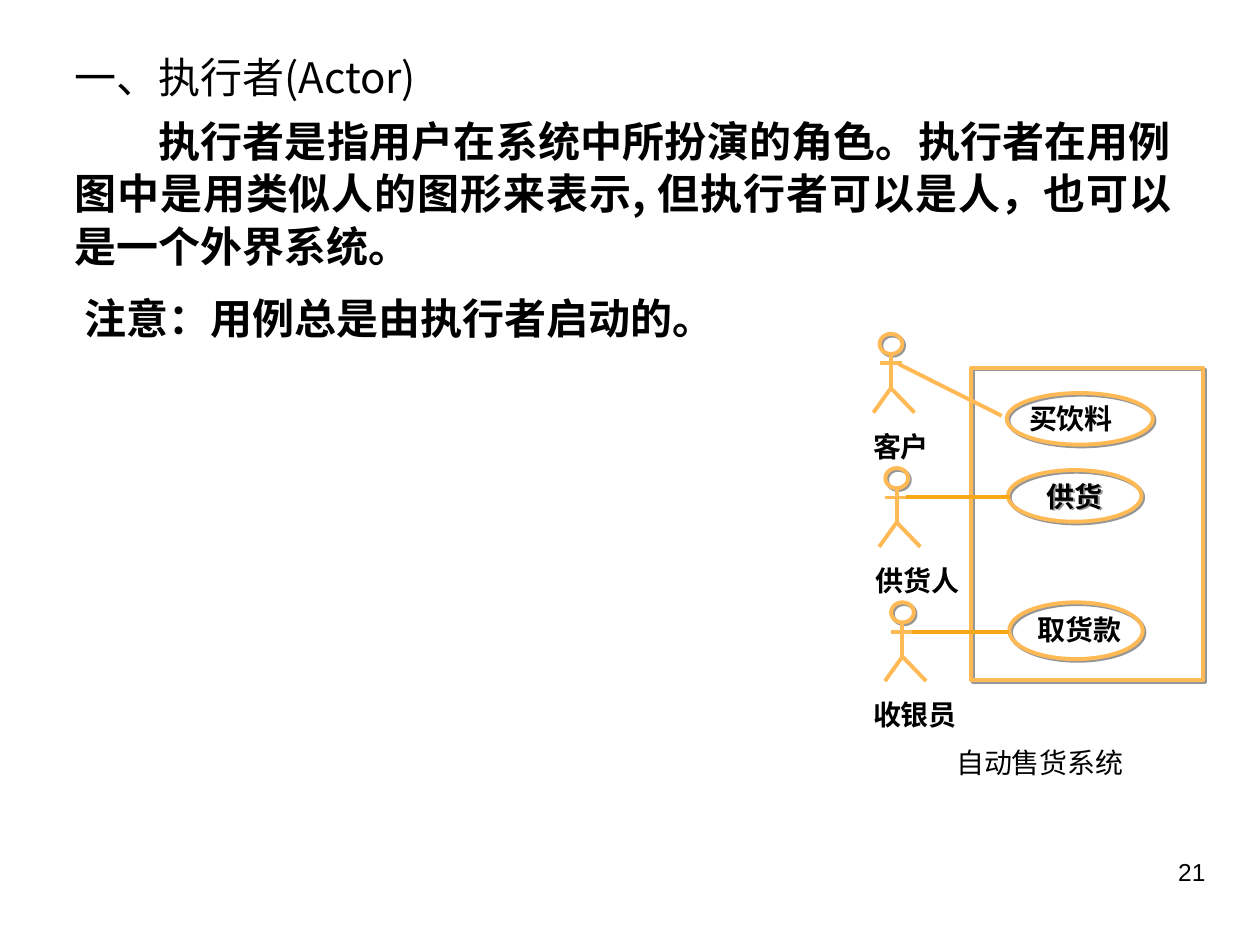
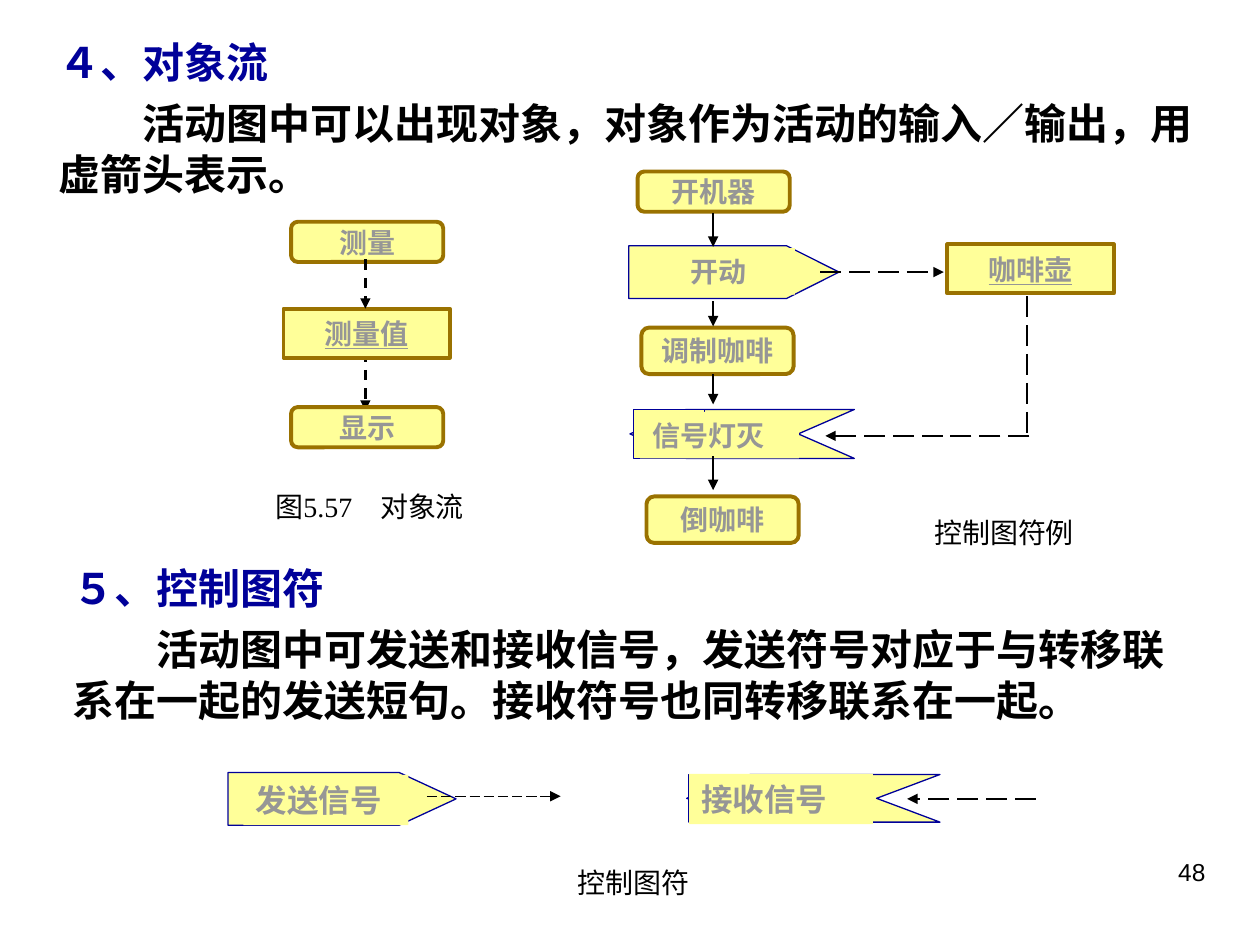
from lxml import etree
from pptx import Presentation
from pptx.dml.color import RGBColor
from pptx.enum.dml import MSO_LINE
from pptx.enum.shapes import MSO_CONNECTOR, MSO_SHAPE
from pptx.enum.text import MSO_ANCHOR, MSO_AUTO_SIZE, PP_ALIGN
from pptx.oxml.ns import qn
from pptx.util import Pt

LEFT, CENTER, RIGHT, JUSTIFY = PP_ALIGN.LEFT, PP_ALIGN.CENTER, PP_ALIGN.RIGHT, PP_ALIGN.JUSTIFY
TOP, MIDDLE = MSO_ANCHOR.TOP, MSO_ANCHOR.MIDDLE
RECTANGLE, ROUNDED, ELLIPSE = MSO_SHAPE.RECTANGLE, MSO_SHAPE.ROUNDED_RECTANGLE, MSO_SHAPE.OVAL
DASH, LONG_DASH = MSO_LINE.DASH, MSO_LINE.LONG_DASH

SANS, SERIF, NUMBER_FONT = "Noto Sans CJK SC", "Times New Roman", "Arial"
BLACK, NAVY, GRAY = "000000", "000099", "969696"
ORANGE, AMBER, YELLOW, BROWN = "FFBA55", "F9A815", "FFFF99", "9A7200"

# Text styles
HEADING = {"size": 24, "font": SANS}
BLUE_HEADING = {**HEADING, "color": NAVY, "bold": True}
BODY = {"size": 24, "font": SANS, "bold": True, "before": 6, "indent": 48}
CAPTION = {"size": 16, "font": SANS, "align": CENTER}
ACTOR_LABEL = {"size": 16, "font": SERIF, "bold": True, "shadow": True}
NODE = {"size": 16, "font": SERIF, "bold": True, "color": GRAY, "align": CENTER}
SIGNAL = {**NODE, "size": 18, "align": LEFT}


def rgb(color):
    return RGBColor.from_string(color)


def add_shadow(effects):
    """Put a small grey drop shadow into an effect list."""
    shadow = etree.SubElement(effects, qn("a:outerShdw"), blurRad="0",
                              dist=str(Pt(1.4)), dir="2700000", algn="ctr", rotWithShape="0")
    etree.SubElement(shadow, qn("a:srgbClr"), val=GRAY)


class Deck:
    def __init__(self):
        self.presentation = Presentation()
        self.presentation.slide_width = Pt(720)
        self.presentation.slide_height = Pt(540)
        self.slide = None

    def new_slide(self, number, left, top, width, title, body, body_height):
        """Start a slide with its title, lead paragraph and page number."""
        self.slide = self.presentation.slides.add_slide(self.presentation.slide_layouts[1])
        heading, lead = self.slide.placeholders
        self.place(heading, left, top, width, 36)
        self.place(lead, left, top + 35, width, body_height)
        self.fill_text(heading, title)
        self.fill_text(lead, body)
        self.text(516, 486, 180, 37, str(number), size=14, font=NUMBER_FONT, align=RIGHT)

    def place(self, shape, left, top, width, height):
        for name, value in {"left": left, "top": top, "width": width, "height": height}.items():
            setattr(shape, name, Pt(value))

    def fill_text(self, shape, *paragraphs, anchor=TOP, wrap=True):
        """Fill a shape with (text, style) paragraphs."""
        frame = shape.text_frame
        settings = {"word_wrap": wrap, "auto_size": MSO_AUTO_SIZE.NONE, "vertical_anchor": anchor,
                    "margin_left": Pt(7.2), "margin_right": Pt(7.2),
                    "margin_top": Pt(3.6), "margin_bottom": Pt(3.6)}
        for name, value in settings.items():
            setattr(frame, name, value)
        for index, (text, style) in enumerate(paragraphs):
            paragraph = frame.add_paragraph() if index else frame.paragraphs[0]
            self.style_paragraph(paragraph, text, **style)

    def style_paragraph(self, paragraph, text, size, font, color=BLACK, bold=False,
                        underline=False, align=LEFT, before=0, spacing=1.2, indent=0,
                        shadow=False):
        settings = {"alignment": align, "space_before": Pt(before),
                    "line_spacing": Pt(size * spacing)}
        for name, value in settings.items():
            setattr(paragraph, name, value)
        properties = paragraph._p.get_or_add_pPr()
        properties.set("marL", "0")
        properties.set("indent", str(Pt(indent)))
        etree.SubElement(properties, qn("a:buNone"))

        run = paragraph.add_run()
        run.text = text
        settings = {"size": Pt(size), "name": font, "bold": bold, "underline": underline}
        for name, value in settings.items():
            setattr(run.font, name, value)
        run.font.color.rgb = rgb(color)
        run_properties = run._r.get_or_add_rPr()
        east_asian = etree.Element(qn("a:ea"), typeface=SANS)
        run_properties.find(qn("a:latin")).addnext(east_asian)
        if shadow:
            effects = etree.Element(qn("a:effectLst"))
            run_properties.find(qn("a:solidFill")).addnext(effects)
            add_shadow(effects)

    def text(self, left, top, width, height, text, wrap=True, **style):
        box = self.slide.shapes.add_textbox(Pt(left), Pt(top), Pt(width), Pt(height))
        self.fill_text(box, (text, style), wrap=wrap)

    def paint(self, shape, fill, line, weight):
        shape.shadow.inherit = False
        if fill:
            shape.fill.solid()
            shape.fill.fore_color.rgb = rgb(fill)
        else:
            shape.fill.background()
        if line:
            shape.line.color.rgb = rgb(line)
            shape.line.width = Pt(weight)
        else:
            shape.line.fill.background()

    def shape(self, kind, left, top, width, height, fill=None, line=None, weight=2.25,
              shadow=False):
        shape = self.slide.shapes.add_shape(kind, Pt(left), Pt(top), Pt(width), Pt(height))
        self.paint(shape, fill, line, weight)
        if shadow:
            add_shadow(shape._element.spPr.find(qn("a:effectLst")))
        return shape

    def outline(self, kind, left, top, width, height):
        return self.shape(kind, left, top, width, height, line=ORANGE, shadow=True)

    def node(self, kind, left, top, width, height, text, underline=False):
        """Activity (rounded) or object (square) box."""
        shape = self.shape(kind, left, top, width, height, YELLOW, BROWN)
        self.fill_text(shape, (text, {**NODE, "underline": underline}), anchor=MIDDLE, wrap=False)

    def label_plate(self, left, top, width, height, text, style):
        self.fill_text(self.shape(RECTANGLE, left, top, width, height, YELLOW), (text, style))

    def polygon(self, points):
        first, *rest = [(Pt(x), Pt(y)) for x, y in points]
        builder = self.slide.shapes.build_freeform(*first)
        builder.add_line_segments(rest, close=True)
        self.paint(builder.convert_to_shape(), YELLOW, NAVY, 0.75)

    def send_symbol(self, left, top, width, height):
        right, bottom, shoulder = left + width, top + height, left + width * 0.75
        self.polygon([(left, top), (shoulder, top), (right, top + height / 2),
                      (shoulder, bottom), (left, bottom)])

    def receive_symbol(self, left, top, width, height, tab_left, tab_width):
        right, bottom, middle = left + width, top + height, top + height / 2
        shoulder, notch = left + width * 0.25, left + width * 0.75
        self.polygon([(right, top), (shoulder, top), (left, middle),
                      (shoulder, bottom), (right, bottom), (notch, middle)])
        self.shape(RECTANGLE, tab_left, top, tab_width, height, YELLOW, NAVY, 0.75)

    def line(self, x1, y1, x2, y2, color=BLACK, weight=1.5, dash=None, arrow=False):
        connector = self.slide.shapes.add_connector(
            MSO_CONNECTOR.STRAIGHT, Pt(x1), Pt(y1), Pt(x2), Pt(y2))
        connector.line.color.rgb = rgb(color)
        connector.line.width = Pt(weight)
        if dash:
            connector.line.dash_style = dash
        properties = connector._element.spPr
        if arrow:
            etree.SubElement(properties.find(qn("a:ln")), qn("a:tailEnd"), type="triangle")
        etree.SubElement(properties, qn("a:effectLst"))

    def arrow(self, x1, y1, x2, y2, dash=None, weight=1.5):
        self.line(x1, y1, x2, y2, dash=dash, weight=weight, arrow=True)

    def actor(self, left, top, name, label_left, label_width):
        """Stick figure with its name below."""
        self.outline(ELLIPSE, left, top, 13, 11.5)
        center, hip, foot = left + 6.5, top + 31, top + 45
        limbs = [(center, top + 11, center, hip), (left, top + 16.8, left + 13, top + 16.8),
                 (center, hip, left - 3.5, foot), (center, hip, left + 20, foot)]
        for limb in limbs:
            self.line(*limb, color=ORANGE, weight=2.25)
        self.text(label_left, top + 51, label_width, 26.6, name, wrap=False, **ACTOR_LABEL)


def actor_slide(deck):
    deck.new_slide(
        21, 35.3, 26, 641.5, ("一、执行者(Actor)", HEADING),
        ("执行者是指用户在系统中所扮演的角色。执行者在用例图中是用类似人的图形来表示, "
         "但执行者可以是人，也可以是一个外界系统。",
         {**BODY, "align": JUSTIFY, "spacing": 1.25}), 98)
    deck.text(41, 163.4, 438, 33, "注意：用例总是由执行者启动的。", **{**HEADING, "bold": True})

    # System boundary and actors
    deck.outline(RECTANGLE, 555, 210.2, 132.5, 178.6)
    actors = [("客户", 491.8, 46), ("供货人", 493.2, 62), ("收银员", 491.8, 62)]
    for index, (name, label_left, label_width) in enumerate(actors):
        deck.actor(502.6 + 3.3 * index, 190.8 + 76.7 * index, name, label_left, label_width)

    # Use cases
    deck.outline(ELLIPSE, 575.3, 224.6, 83.5, 29.5)
    supply = deck.outline(ELLIPSE, 576, 268.6, 76.3, 29.5)
    deck.fill_text(supply, ("供货", {**ACTOR_LABEL, "align": CENTER}), anchor=MIDDLE, wrap=False)
    deck.outline(ELLIPSE, 576.7, 344.2, 76.3, 32.4)
    deck.text(581, 226, 67.7, 26.6, "买饮料", **ACTOR_LABEL)
    deck.text(586, 346.3, 62.6, 26.6, "取货款", **ACTOR_LABEL)

    # Associations
    deck.line(513.4, 208, 572.4, 237.6, ORANGE, 2.25)
    deck.line(517.7, 283.8, 577.4, 283.8, AMBER, 2.25)
    deck.line(521.3, 361.2, 576.7, 361.2, AMBER, 2.25)
    deck.text(539.3, 422.6, 110, 26.6, "自动售货系统", wrap=False, **{**CAPTION, "align": LEFT})


def activity_slide(deck):
    deck.new_slide(
        48, 26, 17.3, 677.5, ("４、对象流", BLUE_HEADING),
        ("活动图中可以出现对象，对象作为活动的输入／输出，用虚箭头表示。", BODY), 65)

    section = deck.slide.shapes.add_textbox(Pt(34.6), Pt(318.2), Pt(652.3), Pt(100))
    deck.fill_text(section, ("５、控制图符", BLUE_HEADING),
                   ("活动图中可发送和接收信号，发送符号对应于与转移联系在一起的发送短句。"
                    "接收符号也同转移联系在一起。", BODY))

    # Control symbols
    deck.send_symbol(130.3, 441.4, 130.3, 30.2)
    deck.label_plate(139, 442.8, 94.3, 28.8, "发送信号", SIGNAL)
    deck.arrow(244, 455, 320.4, 455, LONG_DASH, 0.75)
    deck.receive_symbol(392.4, 442.6, 144.7, 27.2, 393.8, 45.4)
    deck.label_plate(393.8, 442.2, 105, 28.8, "接收信号", SIGNAL)
    deck.arrow(591.8, 456.5, 518.4, 456.5, LONG_DASH)
    deck.text(252, 491, 220.3, 26.6, "控制图符", **CAPTION)

    # Object flow
    deck.arrow(208.8, 200.9, 208.8, 234.7, DASH)
    deck.node(ROUNDED, 166.3, 126.7, 87, 23, "测量")
    deck.node(RECTANGLE, 162, 176.4, 95, 28, "测量值", underline=True)
    deck.node(ROUNDED, 166.3, 232.6, 87, 23, "显示")
    deck.arrow(208.8, 148.3, 208.8, 176.4, DASH)
    deck.text(147.6, 276.5, 127.4, 26.6, "图5.57　对象流", **{**CAPTION, "font": SERIF})

    # Coffee machine flow
    deck.node(ROUNDED, 364.3, 98, 87, 23, "开机器")
    deck.send_symbol(359.3, 140.4, 120.2, 30.2)
    deck.label_plate(367.2, 141.8, 87, 26.6, "开动", NODE)
    deck.arrow(468.7, 155.5, 539.3, 155.5, LONG_DASH)
    deck.node(ROUNDED, 366.5, 187.2, 87, 26.6, "调制咖啡")
    deck.receive_symbol(360, 234, 128.2, 28, 362.2, 40.3)
    deck.label_plate(365.8, 235.4, 90.7, 26.6, "信号灯灭", {**NODE, "align": LEFT})
    deck.arrow(588.2, 249.1, 471.6, 249.1, LONG_DASH)
    deck.node(ROUNDED, 369.4, 283.7, 87, 26.6, "倒咖啡")
    for start, end in [(121.7, 141.1), (172.1, 186.5), (213.8, 231.1), (260.6, 280.1)]:
        deck.arrow(407.5, start, 407.5, end)
    deck.node(RECTANGLE, 541.4, 139.7, 95, 28, "咖啡壶", underline=True)
    deck.line(586.8, 169.2, 586.8, 249.8, dash=LONG_DASH)
    deck.text(497.5, 290.9, 152.6, 26.6, "控制图符例", **CAPTION)


def main():
    deck = Deck()
    actor_slide(deck)
    activity_slide(deck)
    deck.presentation.save("out.pptx")


if __name__ == "__main__":
    main()
